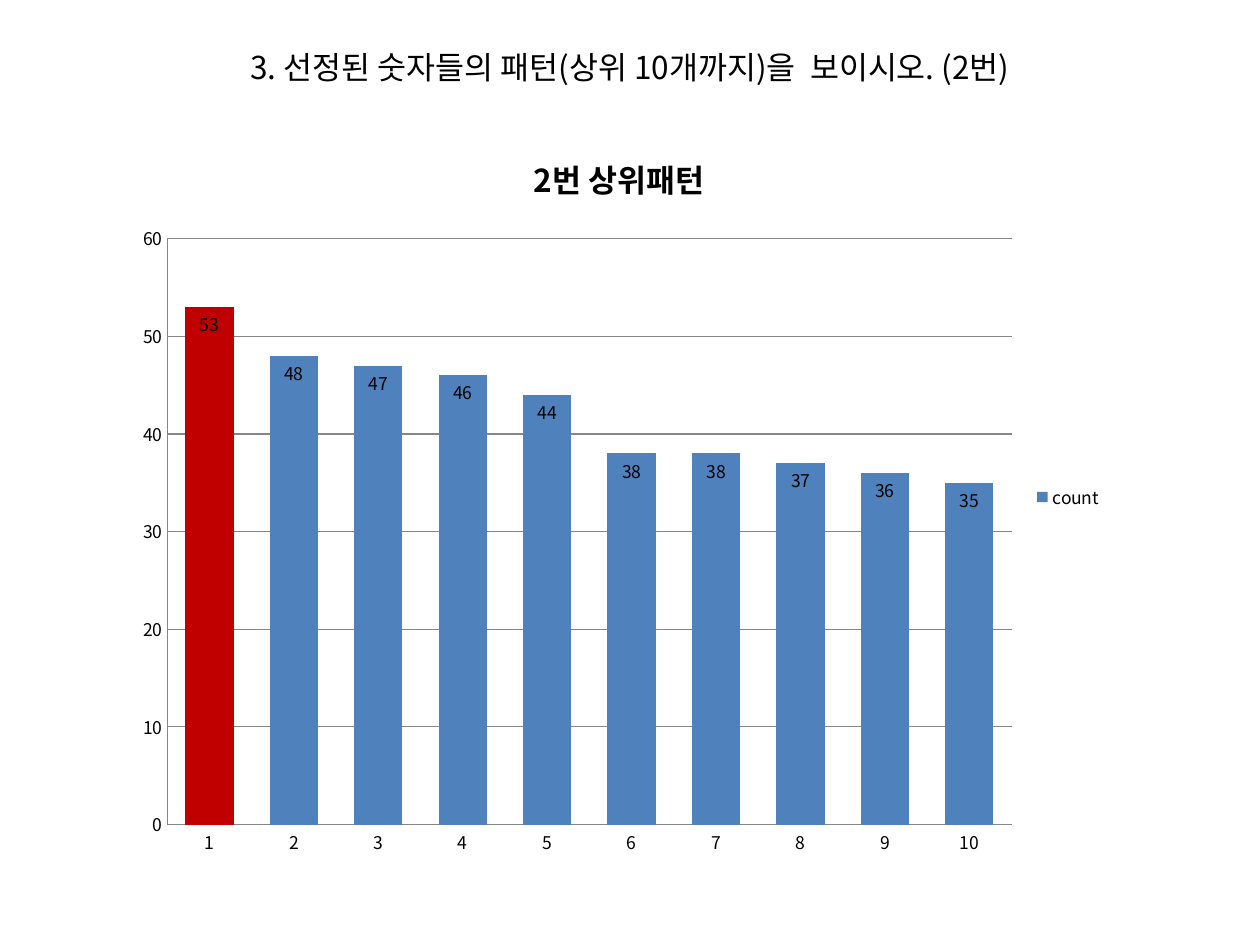
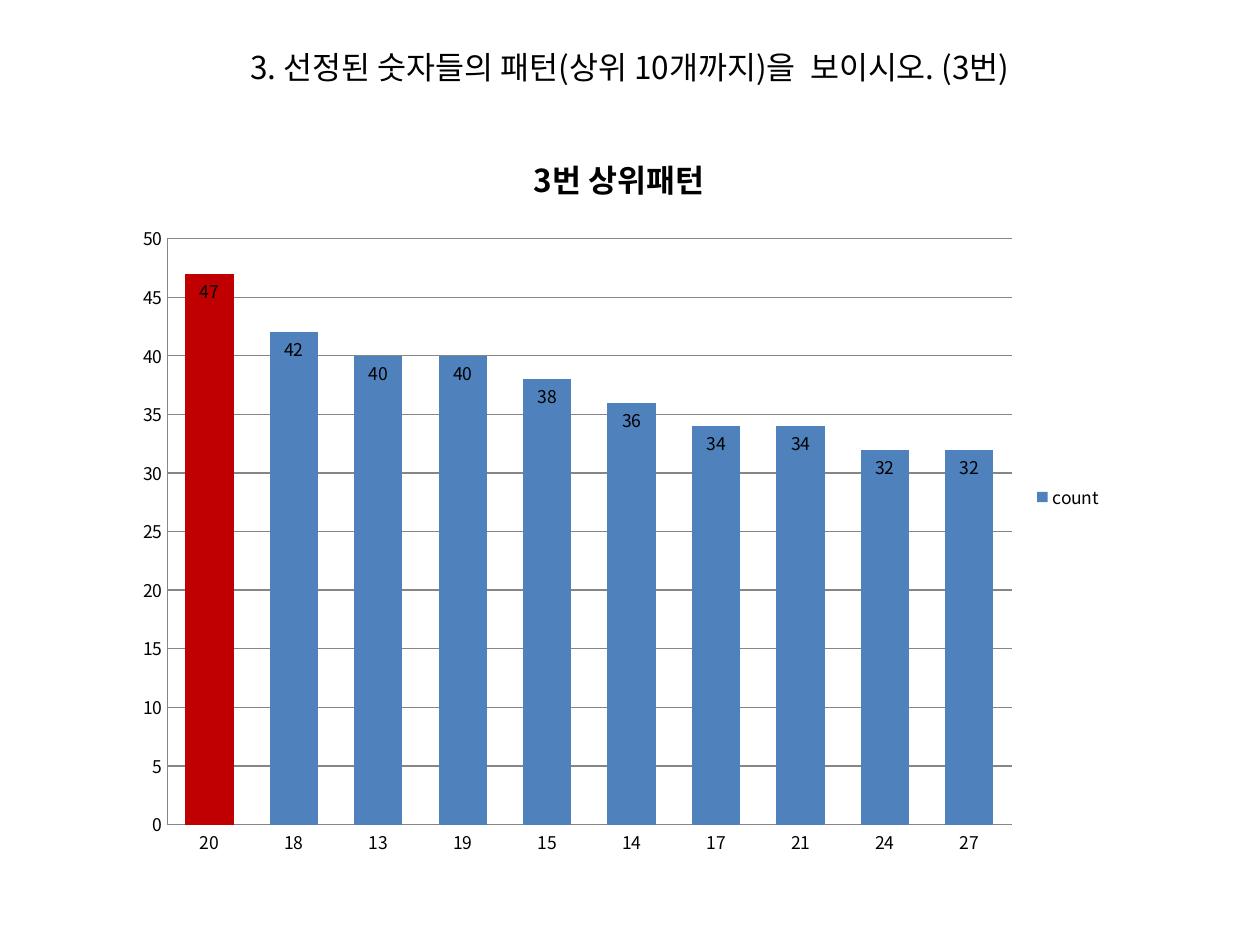
from lxml import etree
from pptx import Presentation
from pptx.chart.data import CategoryChartData
from pptx.dml.color import RGBColor
from pptx.enum.chart import (XL_CHART_TYPE as ChartType, XL_LABEL_POSITION as LabelPosition,
                             XL_LEGEND_POSITION as LegendPosition, XL_TICK_MARK as TickMark)
from pptx.enum.text import MSO_ANCHOR as Anchor, PP_ALIGN as Align
from pptx.oxml.ns import qn
from pptx.util import Inches, Pt

FONT = "Noto Sans CJK KR"
BLACK, BLUE, RED, GRAY = "000000", "4F81BD", "C00000", "868686"


def color(hex_string):
    return RGBColor.from_string(hex_string)


def style_font(font, size, bold=False):
    font.name = FONT
    font.size = Pt(size)
    font.bold = bold
    font.color.rgb = color(BLACK)


questions = [
    (2, range(1, 11), [53, 48, 47, 46, 44, 38, 38, 37, 36, 35], 10),
    (3, [20, 18, 13, 19, 15, 14, 17, 21, 24, 27], [47, 42, 40, 40, 38, 36, 34, 34, 32, 32], 5),
]

deck = Presentation()
deck.slide_width, deck.slide_height = Inches(10), Inches(7.5)
title_only = deck.slide_layouts[5]

for number, patterns, counts, step in questions:
    page = deck.slides.add_slide(title_only)

    title = page.shapes.title
    title.left, title.top = Inches(0), Inches(0.33)
    title.width, title.height = Inches(10), Inches(0.4)
    frame = title.text_frame
    frame.text = f"3. 선정된 숫자들의 패턴(상위 10개까지)을  보이시오. ({number}번)"
    frame.vertical_anchor = Anchor.TOP
    frame.paragraphs[0].alignment = Align.CENTER
    span = frame.paragraphs[0].runs[0]
    style_font(span.font, 18)
    etree.SubElement(span.font._element, qn("a:ea"), typeface=FONT)

    data = CategoryChartData()
    data.categories = [str(pattern) for pattern in patterns]
    data.add_series("count", counts)
    chart = page.shapes.add_chart(ChartType.COLUMN_CLUSTERED, Inches(0.98), Inches(0.99),
                                  Inches(7.87), Inches(5.91), data).chart
    style_font(chart.font, 10)

    chart.has_title = True
    heading = chart.chart_title.text_frame
    heading.text = f"{number}번 상위패턴"
    style_font(heading.paragraphs[0].runs[0].font, 18, bold=True)
    chart.chart_title.include_in_layout = False

    chart.has_legend = True
    chart.legend.position = LegendPosition.RIGHT
    chart.legend.include_in_layout = False

    for axis in (chart.category_axis, chart.value_axis):
        axis.major_tick_mark = TickMark.NONE
        axis.minor_tick_mark = TickMark.NONE
        axis.format.line.color.rgb = color(GRAY)
        axis.format.line.width = Pt(0.75)
    values = chart.value_axis
    values.minimum_scale, values.maximum_scale = 0, (max(counts) // step + 1) * step
    values.major_unit = step
    values.has_major_gridlines = True
    values.major_gridlines.format.line.color.rgb = color(GRAY)
    values.major_gridlines.format.line.width = Pt(0.75)

    plot = chart.plots[0]
    plot.vary_by_categories = False
    plot.gap_width, plot.overlap = 75, 40
    plot.has_data_labels = True
    plot.data_labels.show_value = True
    plot.data_labels.position = LabelPosition.INSIDE_END
    style_font(plot.data_labels.font, 10)

    series = plot.series[0]
    for bar, shade in ((series, BLUE), (series.points[0], RED)):
        bar.format.fill.solid()
        bar.format.fill.fore_color.rgb = color(shade)

deck.save("out.pptx")
